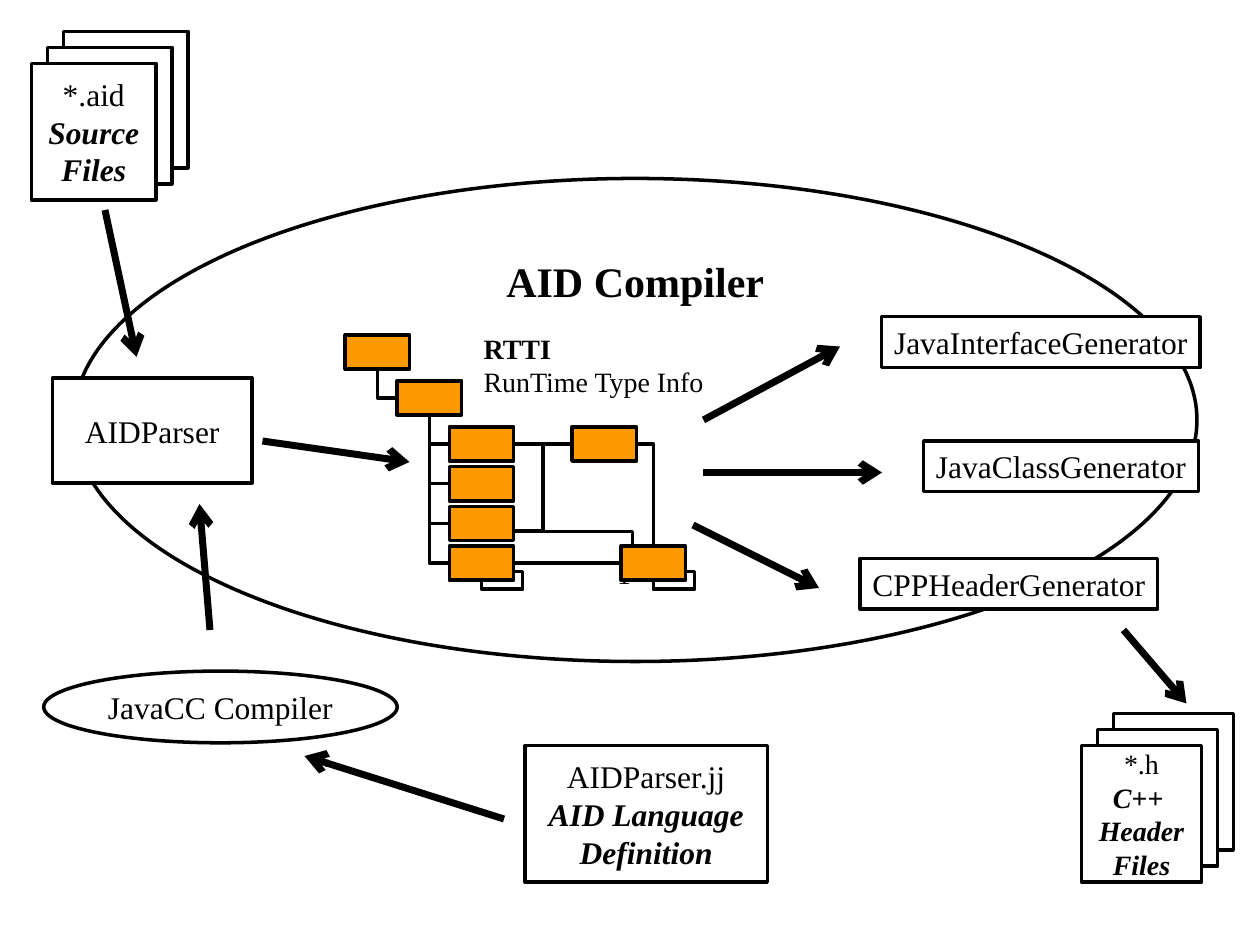
from pptx import Presentation
from pptx.dml.color import RGBColor
from pptx.enum.shapes import MSO_CONNECTOR as Link, MSO_SHAPE as Shape
from pptx.enum.text import MSO_ANCHOR as Anchor, PP_ALIGN as Align
from pptx.oxml.ns import qn
from pptx.oxml.xmlchemy import OxmlElement
from pptx.util import Pt

BLACK, WHITE, ORANGE = "000000", "FFFFFF", "FF9900"
BOTTOM, LEFT, RIGHT = 2, 1, 3
EMPHASIS = {"bold": True, "italic": True}


def color(hex_text):
    return RGBColor.from_string(hex_text)


def write(shape, paragraphs, size=18, align=Align.CENTER, anchor=Anchor.MIDDLE, wrap=False):
    frame = shape.text_frame
    frame.word_wrap = wrap
    frame.vertical_anchor = anchor
    for index, pieces in enumerate(paragraphs):
        paragraph = frame.add_paragraph() if index else frame.paragraphs[0]
        paragraph.alignment = align
        for words, style in pieces:
            for number, line in enumerate(words.split("\n")):
                if number:
                    paragraph.add_line_break()
                if line:
                    run = paragraph.add_run()
                    run.text = line
                    run.font.name = "Times New Roman"
                    run.font.size = Pt(size)
                    run.font.color.rgb = color(BLACK)
                    run.font.bold = style.get("bold", False)
                    run.font.italic = style.get("italic", False)


class Diagram:
    """Draws black-outlined diagram parts, measured in points, on one slide."""

    def __init__(self, slide, outline=2, arrow_width=4):
        self.shapes = slide.shapes
        self.outline = outline
        self.arrow_width = arrow_width

    def node(self, left, top, width, height, paragraphs=(), kind=Shape.RECTANGLE,
             fill=WHITE, outlined=True, **text_format):
        node = self.shapes.add_shape(kind, Pt(left), Pt(top), Pt(width), Pt(height))
        node.shadow.inherit = False
        node.fill.solid()
        node.fill.fore_color.rgb = color(fill)
        if outlined:
            node.line.color.rgb = color(BLACK)
            node.line.width = Pt(self.outline)
        else:
            node.line.fill.background()
        if paragraphs:
            write(node, paragraphs, **text_format)
        return node

    def stack(self, left, top, width, height, paragraphs, step=9.1, **text_format):
        for depth in (2, 1):
            self.node(left + depth * step, top - depth * step, width, height)
        self.node(left, top, width, height, paragraphs, **text_format)

    def note(self, left, top, width, height, paragraphs, **text_format):
        box = self.shapes.add_textbox(Pt(left), Pt(top), Pt(width), Pt(height))
        write(box, paragraphs, align=Align.LEFT, anchor=Anchor.TOP, **text_format)

    def connector(self, kind, start, end, width):
        line = self.shapes.add_connector(kind, *map(Pt, (*start, *end)))
        line.line.color.rgb = color(BLACK)
        line.line.width = Pt(width)
        line.element.spPr.append(OxmlElement("a:effectLst"))
        return line

    def arrow(self, start, end):
        line = self.connector(Link.STRAIGHT, start, end, self.arrow_width)
        head = OxmlElement("a:tailEnd")
        head.set("type", "arrow")
        line.element.spPr.find(qn("a:ln")).append(head)

    def join(self, source, target):
        line = self.connector(Link.STRAIGHT, (0, 0), (0, 0), self.outline)
        line.begin_connect(source, RIGHT)
        line.end_connect(target, LEFT)

    def elbow(self, start, end, segments=2, adjusts=()):
        line = self.connector(Link.ELBOW, start, end, self.outline)
        geometry = line.element.spPr.find(qn("a:prstGeom"))
        geometry.set("prst", f"bentConnector{segments}")
        values = geometry.get_or_add_avLst()
        for number, share in enumerate(adjusts, 1):
            guide = OxmlElement("a:gd")
            guide.set("name", f"adj{number}")
            guide.set("fmla", f"val {round(share * 100000)}")
            values.append(guide)


def draw_type_tree(diagram):
    width, height = 36.8, 19.6
    middle = height / 2
    diagram.node(192, 186, 222, 157.5, outlined=False)
    diagram.note(345.6, 314.6, 22.3, 26.6, [[("1", {})]], size=16)

    def entry(left, top):
        return diagram.node(left, top, width, height, fill=ORANGE)

    root_x, branch_x, leaf_x, peer_x, last_x = 197.3, 227, 256.8, 326.9, 355
    root_y, branch_y, leaf_y, leaf_step = 191.4, 217.6, 243.9, 22.7
    leaf_tops = [leaf_y + row * leaf_step for row in range(4)]
    entry(root_x, root_y)
    entry(branch_x, branch_y)
    leaves = [entry(leaf_x, top) for top in leaf_tops]
    peer = entry(peer_x, leaf_y)
    last = entry(last_x, leaf_tops[3])

    diagram.elbow((branch_x, branch_y + middle), (root_x + width / 2, root_y + height))
    for top in leaf_tops:
        diagram.elbow((leaf_x, top + middle), (branch_x + width / 2, branch_y + height))
    diagram.join(leaves[0], peer)
    diagram.join(leaves[3], last)
    leaf_right = leaf_x + width
    diagram.elbow((leaf_right, leaf_tops[2] + 14), (peer_x, leaf_y + middle), 3, [0.5])
    diagram.elbow((leaf_right, leaf_tops[2] + 14.5), (361.5, leaf_tops[3]))
    diagram.elbow((peer_x + width, leaf_y + middle), (last_x + width / 2, leaf_tops[3]))
    for left in (leaf_x, last_x):
        bottom = leaf_tops[3] + height
        diagram.elbow((left + width, bottom - 5), (left + width / 2, bottom), 4, [-0.28, 2.03])
    diagram.note(269.3, 185.8, 150.5, 46,
                 [[("RTTI\n", {"bold": True}), ("RunTime Type Info", {})]], size=16, wrap=True)


def main():
    deck = Presentation()
    deck.slide_width, deck.slide_height = Pt(720), Pt(540)
    diagram = Diagram(deck.slides.add_slide(deck.slide_layouts[6]))

    diagram.node(42, 102, 642, 276, [[("AID Compiler", {"bold": True})]],
                 kind=Shape.OVAL, size=24, anchor=Anchor.TOP)
    diagram.node(300, 426, 138.5, 78,
                 [[("AIDParser.jj\n", {}), ("AID Language\nDefinition", EMPHASIS)]])
    diagram.node(25, 383.5, 202, 41, [[("JavaCC Compiler", {})]], kind=Shape.OVAL)
    diagram.node(30, 216, 114, 60, [[("AIDParser", {})]])
    draw_type_tree(diagram)

    diagram.stack(18, 36.2, 71.2, 78, [[("*.aid", {})], [("Source\nFiles", EMPHASIS)]])
    for left, top, width, name in (
        (491.5, 319, 170, "CPPHeaderGenerator"),
        (503.8, 181, 182, "JavaInterfaceGenerator"),
        (527.8, 252, 157, "JavaClassGenerator"),
    ):
        diagram.node(left, top, width, 29, [[(name, {})]])
    diagram.stack(618, 426, 68.6, 78,
                  [[("*.h", {})], [("C++ \nHeader\nFiles", EMPHASIS)]], size=16)

    for start, end in (
        ((402, 270), (504, 270)),
        ((396, 300), (468, 336)),
        ((642, 360), (678, 402)),
        ((60, 120), (78, 204)),
        ((402, 240), (480, 198)),
        ((288, 468), (174, 432)),
        ((120, 360), (114, 288)),
        ((150, 252), (234, 264)),
    ):
        diagram.arrow(start, end)
    deck.save("out.pptx")


if __name__ == "__main__":
    main()
